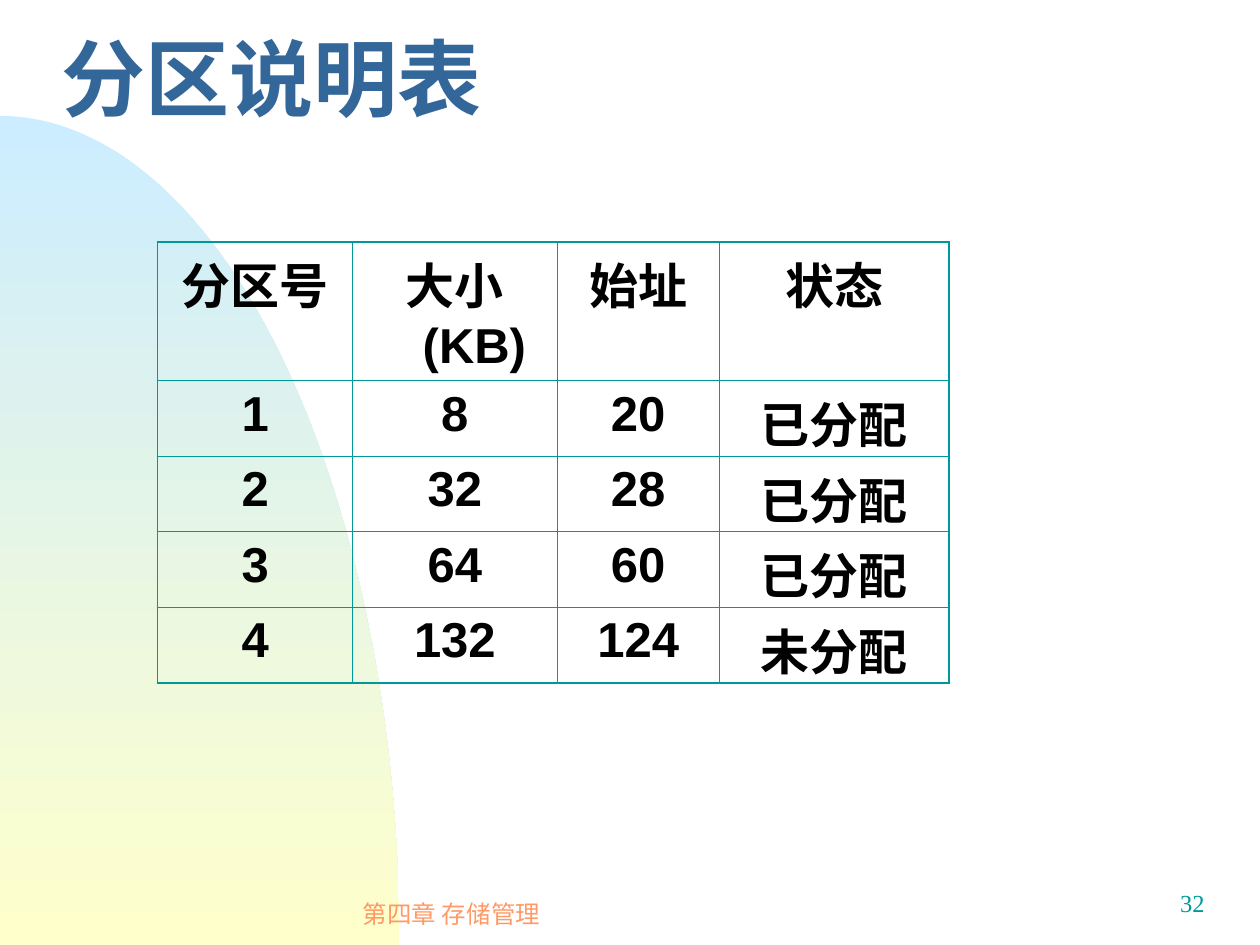
"""Build the partition table slide of the storage management chapter."""
from dataclasses import dataclass
from math import cos, pi, sin

from lxml.etree import SubElement
from pptx import Presentation
from pptx.dml.color import RGBColor
from pptx.enum.text import MSO_ANCHOR, PP_ALIGN
from pptx.oxml.ns import qn
from pptx.slide import Slide
from pptx.table import _Cell
from pptx.text.text import _Paragraph
from pptx.util import Inches, Pt


@dataclass(frozen=True)
class TextStyle:
    size: float
    font: str
    color: str
    bold: bool = False


@dataclass(frozen=True)
class Theme:
    title: TextStyle = TextStyle(48, "Noto Sans CJK SC", "336699", True)
    cell: TextStyle = TextStyle(28, "Arial", "000000", True)
    footer: TextStyle = TextStyle(14, "Arial", "FF9966")
    number: TextStyle = TextStyle(14, "Times New Roman", "009999")
    east_asian: str = "Noto Sans CJK SC"
    border: str = "009999"
    inner_width: float = 0.45
    outer_width: float = 1.08
    gradient: tuple[str, str] = ("CCECFF", "FFFFCC")


@dataclass(frozen=True)
class Label:
    text: str
    box: tuple[float, float, float, float]
    style: TextStyle
    align: PP_ALIGN
    anchor: MSO_ANCHOR = MSO_ANCHOR.MIDDLE
    wrap: bool = True
    line_spacing: float = 1.0


THEME = Theme()
LABELS = (
    Label("32", (7.58, 7, 2.08, 0.5), THEME.number, PP_ALIGN.RIGHT, MSO_ANCHOR.TOP),
    Label("第四章 存储管理", (2, 7, 3.17, 0.5), THEME.footer, PP_ALIGN.CENTER, wrap=False),
    Label("分区说明表", (0.39, 0.17, 9.44, 1.08), THEME.title, PP_ALIGN.LEFT, line_spacing=0.7),
)
PARTITIONS = (
    ("分区号", "大小(KB)", "始址", "状态"),
    ("1", "8", "20", "已分配"),
    ("2", "32", "28", "已分配"),
    ("3", "64", "60", "已分配"),
    ("4", "132", "124", "未分配"),
)
COLUMN_WIDTHS = (1.55, 1.62, 1.29, 1.82)
ROW_HEIGHTS = (1.1, 0.6, 0.6, 0.6, 0.6)


def write_text(paragraph: _Paragraph, text: str, style: TextStyle) -> None:
    run = paragraph.add_run()
    run.text = text
    formats = {"size": Pt(style.size), "name": style.font, "bold": style.bold}
    for name, value in formats.items():
        setattr(run.font, name, value)
    run.font.color.rgb = RGBColor.from_string(style.color)
    SubElement(run.font._element, qn("a:ea"), typeface=THEME.east_asian)


def add_label(slide: Slide, label: Label) -> None:
    shape = slide.shapes.add_textbox(*map(Inches, label.box))
    frame = shape.text_frame
    frame.word_wrap = label.wrap
    frame.vertical_anchor = label.anchor
    paragraph = frame.paragraphs[0]
    paragraph.alignment = label.align
    paragraph.line_spacing = label.line_spacing
    write_text(paragraph, label.text, label.style)


def add_quarter_ellipse(slide: Slide, top: float, width: float, bottom: float) -> None:
    steps = 90
    angles = [pi / 2 * step / steps for step in range(steps + 1)]
    arc = [
        (Inches(width * sin(angle)), Inches(bottom - (bottom - top) * cos(angle)))
        for angle in angles
    ]
    builder = slide.shapes.build_freeform(*arc[0])
    builder.add_line_segments([*arc[1:], (0, Inches(bottom))], close=True)
    shape = builder.convert_to_shape()
    shape.shadow.inherit = False
    shape.line.fill.background()
    shape.fill.gradient()
    shape.fill.gradient_angle = 270
    for stop, position, color in zip(shape.fill.gradient_stops, (0, 1), THEME.gradient):
        stop.position = position
        stop.color.rgb = RGBColor.from_string(color)


def set_borders(cell: _Cell, outer_sides: dict[str, bool]) -> None:
    properties = cell._tc.get_or_add_tcPr()
    for index, (side, is_outer) in enumerate(outer_sides.items()):
        width = THEME.outer_width if is_outer else THEME.inner_width
        line = SubElement(properties, qn(f"a:ln{side}"), w=str(Pt(width)))
        fill = SubElement(line, qn("a:solidFill"))
        SubElement(fill, qn("a:srgbClr"), val=THEME.border)
        properties.insert(index, line)


def add_partition_table(slide: Slide, left: float, top: float) -> None:
    row_count, column_count = len(ROW_HEIGHTS), len(COLUMN_WIDTHS)
    size = sum(COLUMN_WIDTHS), sum(ROW_HEIGHTS)
    table = slide.shapes.add_table(
        row_count, column_count, *map(Inches, (left, top, *size))
    ).table
    table.first_row = table.horz_banding = False
    for column, width in zip(table.columns, COLUMN_WIDTHS):
        column.width = Inches(width)
    for row_index, values in enumerate(PARTITIONS):
        table.rows[row_index].height = Inches(ROW_HEIGHTS[row_index])
        for column_index, value in enumerate(values):
            cell = table.cell(row_index, column_index)
            cell.fill.background()
            set_borders(cell, {
                "L": column_index == 0,
                "R": column_index == column_count - 1,
                "T": row_index == 0,
                "B": row_index == row_count - 1,
            })
            paragraph = cell.text_frame.paragraphs[0]
            paragraph.alignment = PP_ALIGN.CENTER
            indents = {"marL": Inches(0.31), "indent": Inches(-0.31)}
            for name, length in indents.items():
                paragraph._p.get_or_add_pPr().set(name, str(length))
            write_text(paragraph, value, THEME.cell)


def main() -> None:
    presentation = Presentation()
    presentation.slide_width = Inches(10)
    presentation.slide_height = Inches(7.5)
    slide = presentation.slides.add_slide(presentation.slide_layouts[6])
    add_quarter_ellipse(slide, top=0.92, width=3.17, bottom=7.5)
    for label in LABELS:
        add_label(slide, label)
    add_partition_table(slide, left=1.25, top=1.92)
    presentation.save("out.pptx")


if __name__ == "__main__":
    main()
